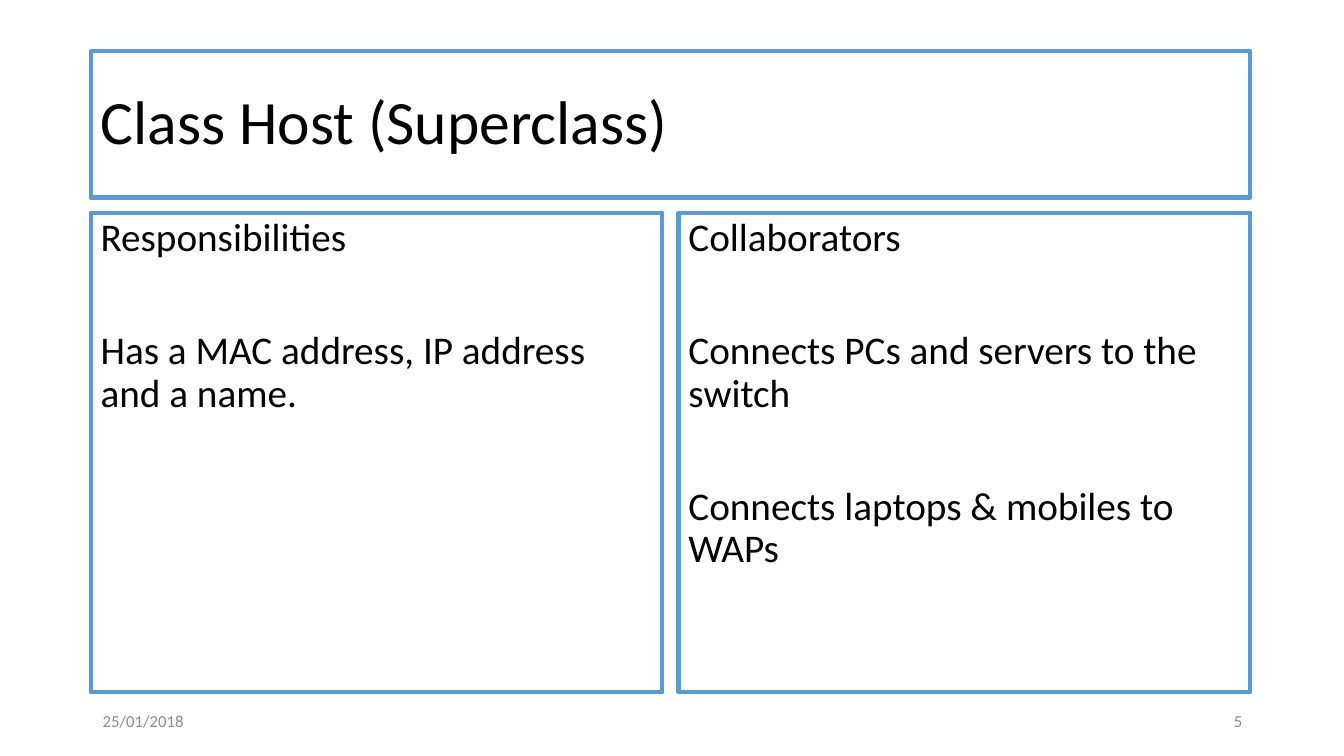
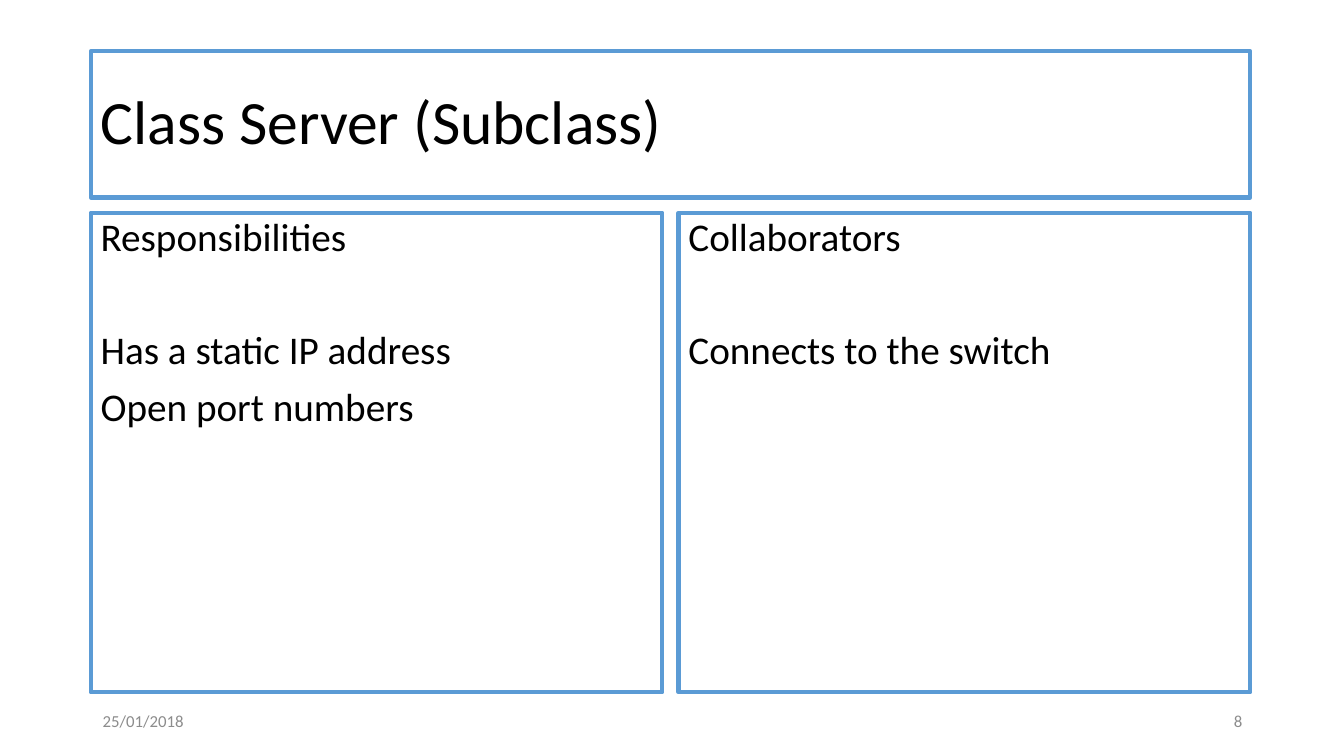
from pptx import Presentation
from pptx.dml.color import RGBColor
from pptx.enum.shapes import MSO_SHAPE as Shape
from pptx.enum.text import MSO_ANCHOR as Anchor, PP_ALIGN as Align
from pptx.util import Inches, Pt

FONT = "Calibri"
BLUE, BLACK, GREY = "5B9BD5", "000000", "8C8C8C"
LEFT, WIDTH, COLUMN_WIDTH = 0.9, 11.5, 5.67
LINE_GAP, GROUP_GAP = 10, 50.75


def color(value):
    return RGBColor.from_string(value)


def write(para, text, size, ink, align=Align.LEFT):
    para.alignment = align
    span = para.add_run()
    span.text = text
    span.font.name = FONT
    span.font.size = Pt(size)
    span.font.color.rgb = color(ink)


def add_frame(page, box, anchor):
    frame = page.shapes.add_shape(Shape.RECTANGLE, *map(Inches, box))
    frame.shadow.inherit = False
    frame.fill.background()
    frame.line.color.rgb = color(BLUE)
    frame.line.width = Pt(3)
    frame.text_frame.word_wrap = True
    frame.text_frame.vertical_anchor = anchor
    return frame.text_frame


def add_title(page, box, text):
    para = add_frame(page, box, Anchor.MIDDLE).paragraphs[0]
    para.line_spacing = 0.9
    write(para, text, 44, BLACK)


def add_column(page, box, heading, groups):
    body = add_frame(page, box, Anchor.TOP)
    lines = [(heading, 0)]
    for group in groups:
        lines += [(text, LINE_GAP if index else GROUP_GAP)
                  for index, text in enumerate(group)]
    for index, (text, gap) in enumerate(lines):
        para = body.add_paragraph() if index else body.paragraphs[0]
        para.line_spacing = 0.9
        para.space_before = Pt(gap)
        write(para, text, 28, BLACK)


def add_footer(page, box, date, number):
    left, top, width, height = box
    label_width = 3
    labels = [(left, date, Align.LEFT),
              (left + width - label_width, number, Align.RIGHT)]
    for label_left, text, align in labels:
        label = page.shapes.add_textbox(
            *map(Inches, (label_left, top, label_width, height))).text_frame
        label.word_wrap = True
        label.vertical_anchor = Anchor.MIDDLE
        write(label.paragraphs[0], text, 12, GREY, align)


def add_class_card(deck, title, responsibilities, collaborators, number):
    page = deck.slides.add_slide(deck.slide_layouts[6])
    add_title(page, (LEFT, 0.51, WIDTH, 1.45), title)
    columns = [("Responsibilities", responsibilities),
               ("Collaborators", collaborators)]
    for index, (heading, groups) in enumerate(columns):
        column_left = LEFT + index * (WIDTH - COLUMN_WIDTH)
        add_column(page, (column_left, 2.11, COLUMN_WIDTH, 4.76), heading, groups)
    add_footer(page, (LEFT + 0.02, 6.95, WIDTH, 0.4), "25/01/2018", number)


deck = Presentation()
deck.slide_width, deck.slide_height = Inches(13.33), Inches(7.5)
add_class_card(
    deck, "Class Host (Superclass)",
    [["Has a MAC address, IP address and a name."]],
    [["Connects PCs and servers to the switch"],
     ["Connects laptops & mobiles to WAPs"]],
    "5")
add_class_card(
    deck, "Class Server (Subclass)",
    [["Has a static IP address", "Open port numbers"]],
    [["Connects to the switch"]],
    "8")
deck.save("out.pptx")
